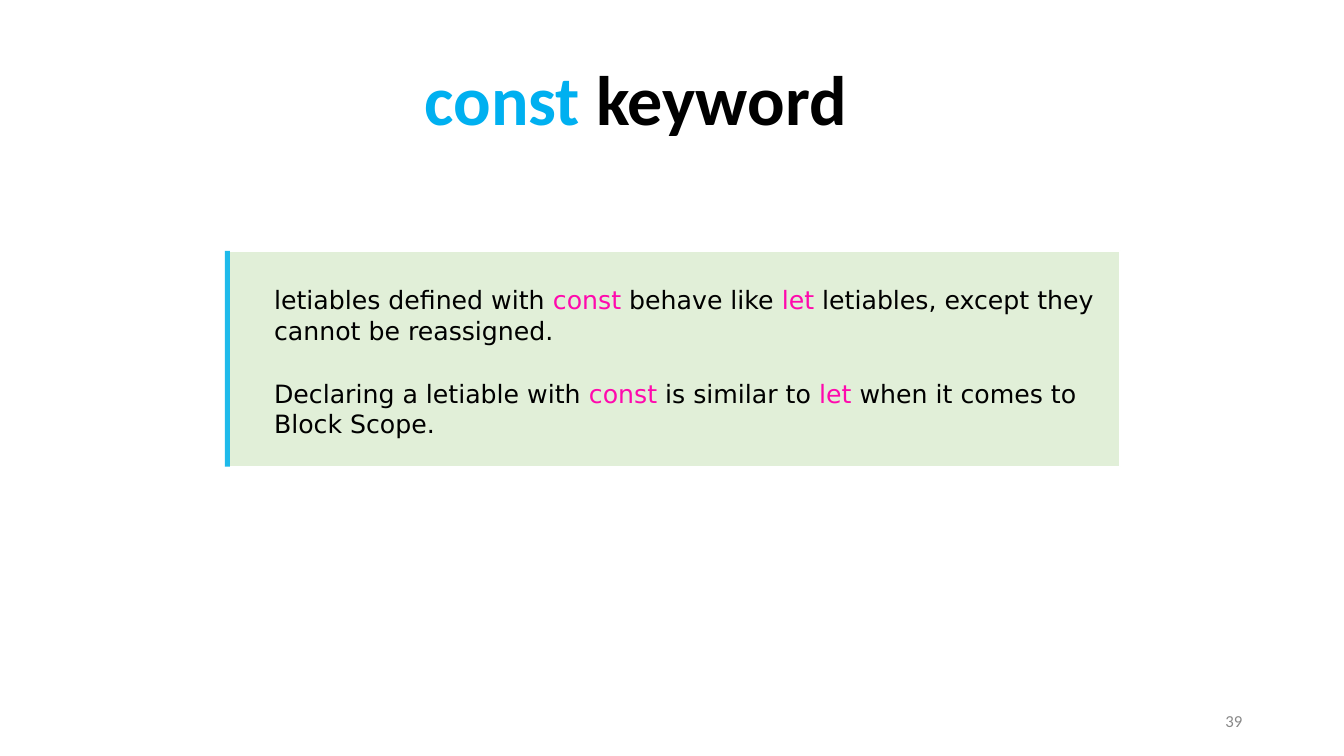
from dataclasses import dataclass

import pptx
import pptx.dml.color
import pptx.enum.shapes
import pptx.enum.text
import pptx.presentation
import pptx.shapes.autoshape
import pptx.slide
import pptx.util

Inches = pptx.util.Inches
Align = pptx.enum.text.PP_ALIGN
Anchor = pptx.enum.text.MSO_ANCHOR


@dataclass(frozen=True)
class Theme:
    heading_font: str = "Calibri"
    body_font: str = "DejaVu Sans"
    title_size: int = 50
    body_size: int = 18
    number_size: int = 12
    black: str = "000000"
    white: str = "FFFFFF"
    grey: str = "888888"
    blue: str = "00B0F0"
    keyword: str = "FF09AD"
    panel: str = "E1EFD8"
    accent: str = "1EBAEA"


@dataclass(frozen=True)
class Box:
    left: float
    top: float
    width: float
    height: float

    def lengths(self) -> tuple[int, int, int, int]:
        return (Inches(self.left), Inches(self.top),
                Inches(self.width), Inches(self.height))


@dataclass(frozen=True)
class Span:
    text: str
    color: str


@dataclass(frozen=True)
class Statement:
    box: Box
    spans: tuple[Span, ...]
    anchor: Anchor


THEME = Theme()


def rgb(color: str) -> pptx.dml.color.RGBColor:
    return pptx.dml.color.RGBColor.from_string(color)


def plain(text: str) -> Span:
    return Span(text, THEME.black)


def keyword(text: str) -> Span:
    return Span(text, THEME.keyword)


PANEL = Box(2.23, 2.49, 8.88, 2.14)
ACCENT_BAR = Box(PANEL.left, PANEL.top, 0.05, PANEL.height)
TITLE = (Span("const ", THEME.blue), plain("keyword"))
STATEMENTS = (
    Statement(
        Box(2.62, 2.77, 8.39, 0.71),
        (plain("letiables defined with "), keyword("const"),
         plain(" behave like "), keyword("let"),
         plain(" letiables, except they cannot be reassigned.")),
        Anchor.MIDDLE),
    Statement(
        Box(2.62, 3.7, 8.24, 0.71),
        (plain("Declaring a letiable with "), keyword("const"),
         plain(" is similar to "), keyword("let"),
         plain(" when it comes to Block Scope.")),
        Anchor.TOP),
)


def write_text(holder: pptx.shapes.autoshape.Shape, spans: tuple[Span, ...], *,
               font: str, size: int, bold: bool = False,
               align: Align = Align.LEFT, anchor: Anchor = Anchor.TOP) -> None:
    frame = holder.text_frame
    frame.word_wrap = True
    frame.auto_size = pptx.enum.text.MSO_AUTO_SIZE.NONE
    frame.vertical_anchor = anchor
    frame.margin_left = frame.margin_right = Inches(0.1)
    frame.margin_top = frame.margin_bottom = Inches(0.05)
    paragraph = frame.paragraphs[0]
    paragraph.alignment = align
    for span in spans:
        run = paragraph.add_run()
        run.text = span.text
        run.font.name = font
        run.font.size = pptx.util.Pt(size)
        run.font.bold = bold
        run.font.color.rgb = rgb(span.color)


def add_rectangle(slide: pptx.slide.Slide, box: Box, fill: str,
                  outline: str | None = None) -> None:
    rectangle = slide.shapes.add_shape(
        pptx.enum.shapes.MSO_SHAPE.RECTANGLE, *box.lengths())
    rectangle.shadow.inherit = False
    rectangle.fill.solid()
    rectangle.fill.fore_color.rgb = rgb(fill)
    if outline:
        rectangle.line.color.rgb = rgb(outline)
        rectangle.line.width = pptx.util.Pt(1)
    else:
        rectangle.line.fill.background()


def add_title(slide: pptx.slide.Slide) -> None:
    title = slide.shapes.title
    title.left, title.top, title.width, title.height = Box(4.11, 0.5, 4.51, 0.94).lengths()
    write_text(title, TITLE, font=THEME.heading_font, size=THEME.title_size, bold=True)


def add_statement(slide: pptx.slide.Slide, statement: Statement) -> None:
    holder = slide.shapes.add_textbox(*statement.box.lengths())
    write_text(holder, statement.spans, font=THEME.body_font,
               size=THEME.body_size, anchor=statement.anchor)


def add_page_number(slide: pptx.slide.Slide) -> None:
    holder = slide.shapes.add_textbox(*Box(9.42, 6.95, 3, 0.4).lengths())
    write_text(holder, (Span("39", THEME.grey),), font=THEME.heading_font,
               size=THEME.number_size, align=Align.RIGHT, anchor=Anchor.MIDDLE)


def main() -> None:
    presentation = pptx.Presentation()
    presentation.slide_width = Inches(13.33)
    presentation.slide_height = Inches(7.5)
    slide = presentation.slides.add_slide(
        presentation.slide_layouts.get_by_name("Title Only"))
    add_page_number(slide)
    add_title(slide)
    add_rectangle(slide, PANEL, THEME.panel, THEME.white)
    add_rectangle(slide, ACCENT_BAR, THEME.accent)
    for statement in STATEMENTS:
        add_statement(slide, statement)
    presentation.save("out.pptx")


if __name__ == "__main__":
    main()
